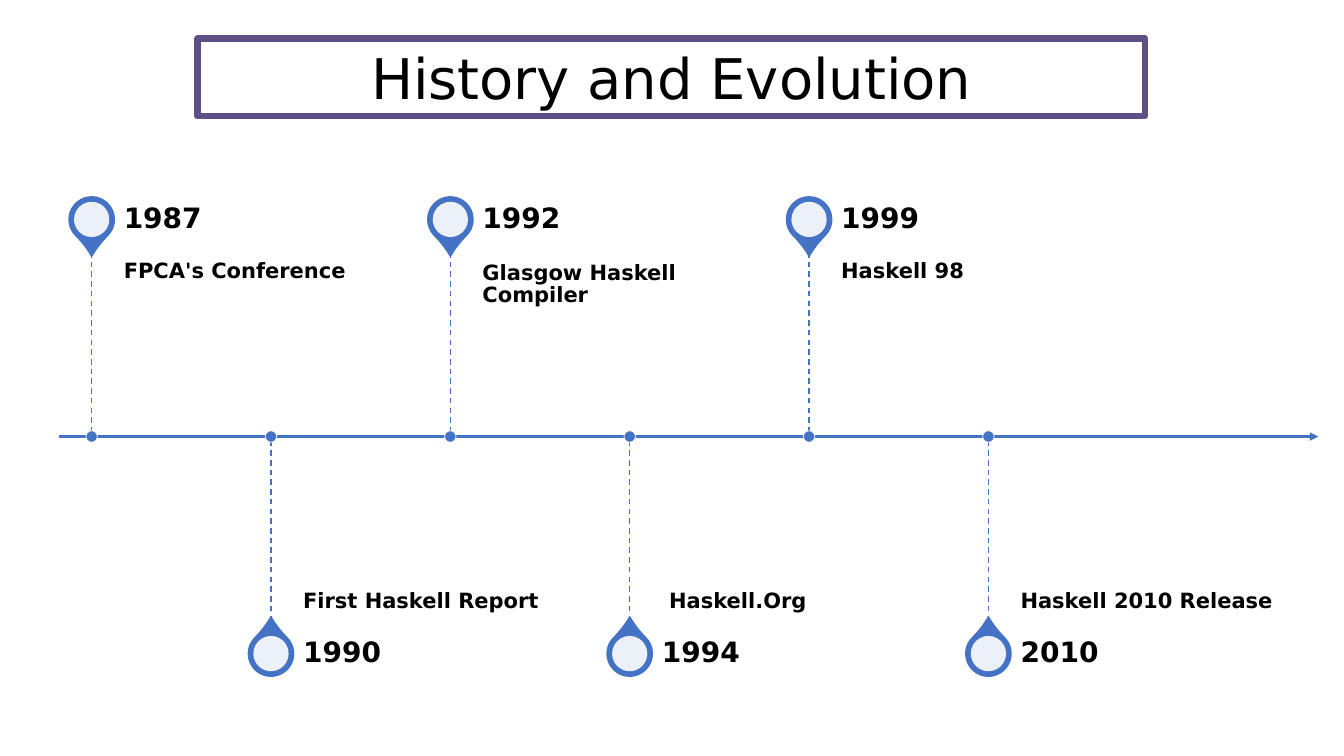
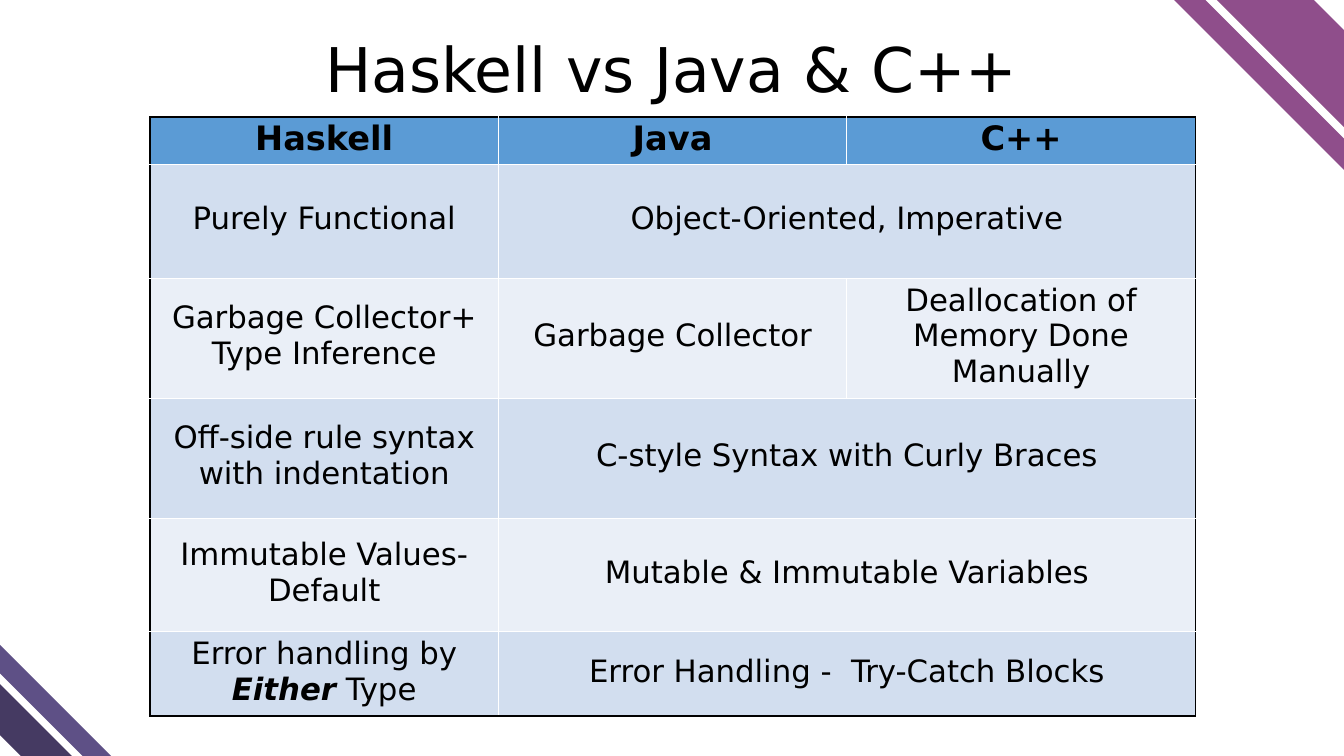
from lxml.etree import SubElement
from pptx import Presentation
from pptx.dml.color import RGBColor
from pptx.enum.dml import MSO_LINE
from pptx.enum.shapes import MSO_CONNECTOR, MSO_SHAPE as Preset
from pptx.enum.text import MSO_ANCHOR as Anchor, PP_ALIGN as Align
from pptx.oxml import parse_xml
from pptx.oxml.ns import nsdecls, qn
from pptx.util import Cm, Pt

BLUE = "4472C4"
WHITE = "FFFFFF"
BLACK = "000000"
PURPLE = "5E5086"
DARK_PURPLE = "453A62"
PLUM = "8F4E8B"
HEADER_BLUE = "5B9BD5"
BANDS = ("EAEFF7", "D2DEEF")
FONT = "DejaVu Sans"

EVENTS = [
    ("1987", "FPCA's Conference"),
    ("1990", "First Haskell Report"),
    ("1992", "Glasgow Haskell Compiler"),
    ("1994", " Haskell.Org"),
    ("1999", "Haskell 98"),
    ("2010", "Haskell 2010 Release"),
]
STRIPES = [
    (0.38, 13.94, 0.91, 9.55, DARK_PURPLE),
    (0.91, 12.9, 0.51, 9.75, PURPLE),
    (32.36, -4.29, 0.56, 13.89, PLUM),
    (32.13, -2.36, 1.73, 6.93, PLUM),
]
ROW_HEIGHTS = (1.19, 2.87, 3.02, 3.02, 2.87, 2.12)
COMPARISON = [
    ("Haskell", "Java", "C++"),
    ("Purely Functional", "Object-Oriented, Imperative", None),
    ("Garbage Collector+\nType Inference", "Garbage Collector",
     "Deallocation of Memory Done Manually"),
    ("Off-side rule syntax with indentation", "C-style Syntax with Curly Braces", None),
    ("Immutable Values- Default", "Mutable & Immutable Variables", None),
    ("Error handling by *Either* Type", "Error Handling -  Try-Catch Blocks", None),
]


def colour(value):
    return RGBColor.from_string(value)


def write(frame, text, size=20, bold=False, align=Align.LEFT, spacing=None):
    for index, line in enumerate(text.split("\n")):
        para = frame.add_paragraph() if index else frame.paragraphs[0]
        para.alignment = align
        para.line_spacing = spacing
        for part, words in enumerate(line.split("*")):
            span = para.add_run()
            span.text = words
            span.font.name = FONT
            span.font.size = Pt(size)
            span.font.color.rgb = colour(BLACK)
            emphasis = part % 2 == 1
            span.font.bold = bold or emphasis
            span.font.italic = emphasis


class Painter:
    """Draw styled elements on the current slide, with lengths in centimetres."""

    def __init__(self, deck):
        self.deck = deck
        self.slide = None

    def new_slide(self):
        self.slide = self.deck.slides.add_slide(self.deck.slide_layouts[6])

    def shape(self, preset, left, top, width, height, fill, outline=None,
              weight=1, rotation=0, opacity=100):
        shape = self.slide.shapes.add_shape(
            preset, Cm(left), Cm(top), Cm(width), Cm(height))
        shape.shadow.inherit = False
        shape.rotation = rotation
        shape.fill.solid()
        shape.fill.fore_color.rgb = colour(fill)
        if opacity < 100:
            paint = shape._element.spPr.find(qn("a:solidFill"))[0]
            SubElement(paint, qn("a:alpha")).set("val", str(opacity * 1000))
        if outline:
            shape.line.color.rgb = colour(outline)
            shape.line.width = Pt(weight)
        else:
            shape.line.fill.background()
        return shape

    def centred(self, preset, x, y, size, fill, **style):
        return self.shape(preset, x - size / 2, y - size / 2, size, size, fill, **style)

    def text(self, text, left, top, width, height, anchor=Anchor.MIDDLE,
             insets=(0.25, 0.13, 0.25, 0.13), **style):
        box = self.slide.shapes.add_textbox(Cm(left), Cm(top), Cm(width), Cm(height))
        frame = box.text_frame
        frame.word_wrap = True
        frame.vertical_anchor = anchor
        (frame.margin_left, frame.margin_top,
         frame.margin_right, frame.margin_bottom) = map(Cm, insets)
        write(frame, text, **style)

    def line(self, start, end, weight=1, dashed=False, arrow=False):
        connector = self.slide.shapes.add_connector(
            MSO_CONNECTOR.STRAIGHT, *map(Cm, (*start, *end)))
        connector.line.color.rgb = colour(BLUE)
        connector.line.width = Pt(weight)
        if dashed:
            connector.line.dash_style = MSO_LINE.DASH
        properties = connector._element.spPr
        if arrow:
            SubElement(properties.find(qn("a:ln")), qn("a:tailEnd")).set("type", "triangle")
        SubElement(properties, qn("a:effectLst"))

    def event(self, x, axis, year, label, above):
        stem, year_height, width, gap = 4.65, 1.63, 7.47, 0.81
        side = -1 if above else 1
        tip = axis + side * stem
        pin = axis + side * 5.47
        drop = self.centred(Preset.TEAR, x, pin, 1.14, BLUE, outline=BLUE,
                            rotation=135 if above else 315)
        drop.adjustments[0] = 1.15
        self.centred(Preset.OVAL, x, pin, 0.89, WHITE, opacity=90)
        self.text(label, x + gap, min(tip, axis), width, stem,
                  anchor=Anchor.TOP if above else Anchor.BOTTOM,
                  insets=(0, 0.25, 0.25, 0.4) if above else (0, 0.4, 0, 0.25),
                  size=15, bold=True, spacing=0.9)
        self.text(year, x + gap, tip - year_height if above else tip, width, year_height,
                  insets=(0, 0, 0.36, 0), size=20, bold=True, spacing=0.9)
        self.line((x, tip), (x, axis), dashed=True)
        self.centred(Preset.OVAL, x, axis, 0.29, BLUE, outline=WHITE, weight=0.5)

    def borders(self, cell, outer):
        properties = cell._tc.get_or_add_tcPr()
        for index, (side, is_outer) in enumerate(zip("LRTB", outer)):
            value, weight = (BLACK, 1) if is_outer else (WHITE, 0.5)
            properties.insert(index, parse_xml(
                f'<a:ln{side} {nsdecls("a")} w="{Pt(weight)}"><a:solidFill>'
                f'<a:srgbClr val="{value}"/></a:solidFill></a:ln{side}>'))

    def table(self, rows, left, top, column_width, heights):
        count = len(rows[0])
        table = self.slide.shapes.add_table(
            len(rows), count, Cm(left), Cm(top),
            Cm(column_width * count), Cm(sum(heights))).table
        table.first_row = table.horz_banding = False
        for column in table.columns:
            column.width = Cm(column_width)
        for r, (row, height) in enumerate(zip(rows, heights)):
            table.rows[r].height = Cm(height)
            for c, text in enumerate(row):
                cell = table.cell(r, c)
                cell.fill.solid()
                cell.fill.fore_color.rgb = colour(BANDS[r % 2] if r else HEADER_BLUE)
                reaches_right = all(other is None for other in row[c + 1:])
                self.borders(cell, (c == 0, reaches_right, r == 0, r == len(rows) - 1))
                if text is None:
                    table.cell(r, c - 1).merge(cell)
                    continue
                cell.vertical_anchor = Anchor.MIDDLE
                cell.margin_left = cell.margin_right = cell.margin_top = Cm(0.03)
                cell.margin_bottom = Cm(0.13)
                write(cell.text_frame, text, size=22 if r else 24, bold=r == 0,
                      align=Align.CENTER)


def history_slide(painter):
    painter.new_slide()
    axis = 11
    painter.line((1.48, axis), (33.22, axis), weight=1.5, arrow=True)
    for index, (year, label) in enumerate(EVENTS):
        painter.event(2.31 + 4.52 * index, axis, year, label, above=index % 2 == 0)
    frame = (4.98, 0.97, 23.88, 1.96)
    painter.shape(Preset.RECTANGLE, *frame, WHITE, outline=PURPLE, weight=4.5)
    painter.text("History and Evolution", *frame, size=40, align=Align.CENTER)


def comparison_slide(painter):
    painter.new_slide()
    painter.text("Haskell vs Java & C++", 2.33, 0, 29.21, 3.68,
                 size=44, align=Align.CENTER, spacing=0.9)
    for *place, fill in STRIPES:
        painter.shape(Preset.RECTANGLE, *place, fill, rotation=315)
    painter.table(COMPARISON, 3.78, 2.95, 8.78, ROW_HEIGHTS)


def main():
    deck = Presentation()
    deck.slide_width, deck.slide_height = Cm(33.87), Cm(19.05)
    painter = Painter(deck)
    history_slide(painter)
    comparison_slide(painter)
    deck.save("out.pptx")


if __name__ == "__main__":
    main()
